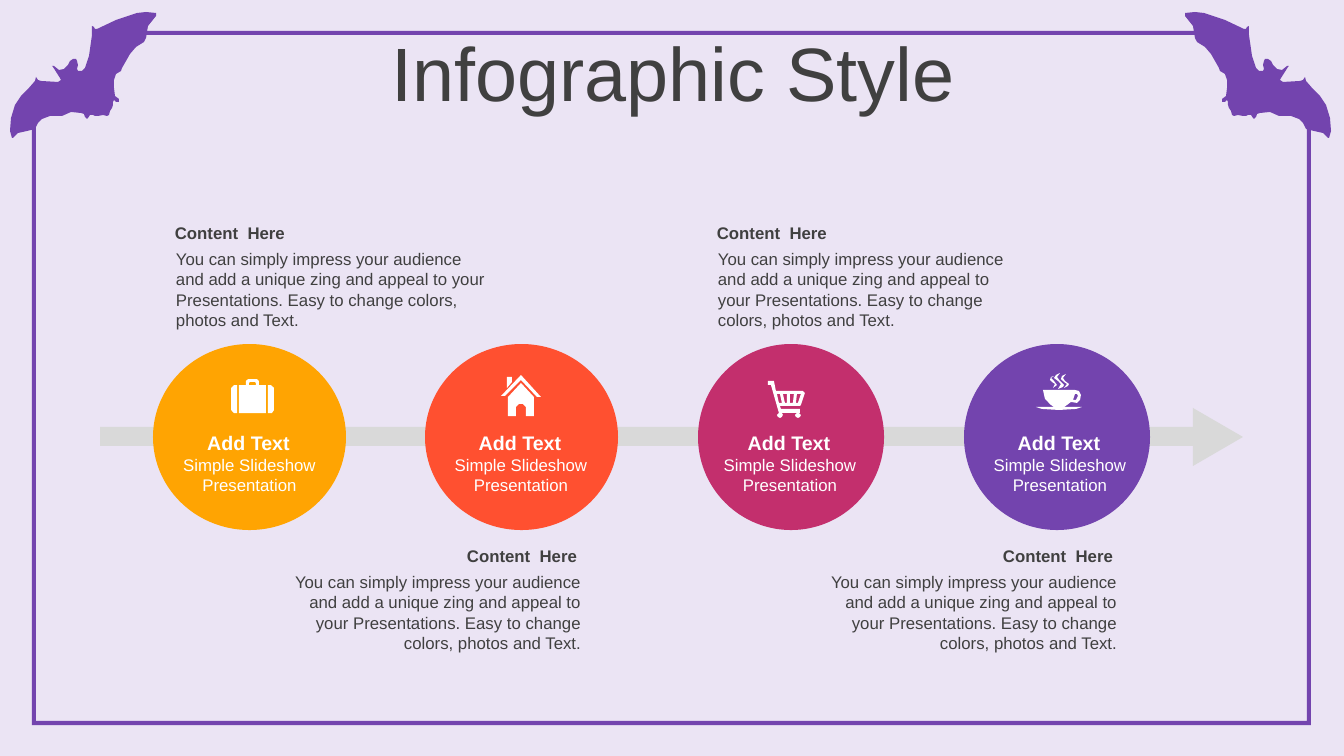
"""Build a timeline slide with four stations, their notes and a bat frame."""
from pptx import Presentation
from pptx.dml.color import RGBColor
from pptx.enum import shapes, text
from pptx.util import Pt

PX = 9071
FONT = "Arial"
LAVENDER = RGBColor(0xEB, 0xE4, 0xF4)
PURPLE = RGBColor(0x73, 0x44, 0xAE)
PINK = RGBColor(0xC3, 0x2F, 0x6D)
RED = RGBColor(0xFF, 0x50, 0x30)
ORANGE = RGBColor(0xFF, 0xA4, 0x02)
GREY = RGBColor(0xD9, 0xD9, 0xD9)
DARK = RGBColor(0x40, 0x40, 0x40)
WHITE = RGBColor(0xFF, 0xFF, 0xFF)

NOTE = ("You can simply impress your audience and add a unique zing and appeal to "
        "your Presentations. Easy to change colors, photos and Text.")

BAT = [
    (36, 77), (38, 80), (41, 81), (58, 82), (61, 80), (60, 78), (53, 67), (52, 66),
    (54, 66), (59, 70), (64, 69), (68, 65), (70, 61), (73, 59), (76, 59), (77, 61),
    (78, 65), (77, 69), (78, 71), (82, 71), (85, 68), (89, 56), (92, 35), (92, 26),
    (94, 27), (95, 29), (97, 29), (116, 20), (137, 13), (146, 12), (156, 13),
    (156, 16), (148, 26), (146, 38), (144, 42), (136, 47), (130, 54), (122, 68),
    (121, 71), (116, 74), (114, 80), (114, 88), (115, 96), (119, 99), (119, 102),
    (116, 102), (114, 100), (113, 102), (113, 105), (112, 108), (110, 111),
    (109, 115), (107, 116), (103, 115), (98, 116), (95, 116), (93, 115), (90, 115),
    (88, 118), (87, 119), (85, 117), (84, 114), (81, 113), (71, 112), (62, 116),
    (59, 116), (50, 116), (42, 119), (38, 123), (35, 129), (27, 131), (18, 133),
    (13, 138), (12, 138), (10, 131), (11, 118), (15, 105), (21, 96), (28, 89),
    (35, 81),
]
FRAME = [
    [(1307, 109), (1311, 109), (1311, 725), (32, 725), (32, 109), (36, 109),
     (36, 721), (1307, 721)],
    [(109, 31), (1235, 31), (1235, 35), (109, 35)],
]
SUITCASE = [
    [(37, 6), (40, 6), (43, 9), (43, 31), (41, 34), (37, 34)],
    [(3, 6), (6, 6), (6, 34), (3, 34), (0, 31), (0, 9)],
    [(17, 0), (26, 0), (28, 2), (28, 6), (35, 6), (35, 34), (8, 34), (8, 6),
     (15, 6), (15, 2)],
    [(19, 3), (18, 4), (18, 6), (25, 6), (25, 4), (24, 3)],
]
HOUSE = [
    [(20, 8), (33, 22), (33, 41), (25, 41), (25, 32), (22, 29), (18, 29), (15, 32),
     (15, 41), (7, 41), (7, 22)],
    [(6, 2), (11, 2), (11, 7), (6, 13)],
    [(20, 0), (40, 22), (36, 22), (20, 5), (4, 21), (0, 21)],
]
CART = [
    [(29, 13), (28, 22), (30, 22), (33, 13)],
    [(22, 13), (22, 22), (25, 22), (26, 13)],
    [(15, 13), (17, 22), (19, 22), (19, 13)],
    [(9, 13), (11, 22), (14, 22), (12, 13)],
    [(6, 0), (8, 10), (35, 10), (37, 12), (33, 24), (32, 25), (12, 25), (13, 28),
     (32, 28), (32, 32), (31, 32), (33, 34), (32, 36), (30, 37), (28, 36), (27, 34),
     (29, 32), (14, 32), (15, 34), (14, 36), (12, 37), (10, 36), (9, 34), (11, 32),
     (3, 4), (0, 4), (0, 0)],
]
CUP = [
    [(39, 21), (37, 27), (40, 27), (42, 23), (41, 21)],
    [(39, 17), (43, 18), (45, 22), (44, 27), (41, 30), (35, 29), (31, 32), (28, 34),
     (46, 34), (40, 36), (23, 37), (6, 36), (0, 34), (18, 34), (15, 32), (9, 26),
     (7, 17)],
    [(18, 3), (15, 5), (16, 6), (18, 8), (21, 12), (17, 15), (19, 11), (16, 9),
     (14, 7), (15, 4)],
    [(30, 1), (27, 5), (29, 8), (33, 11), (32, 13), (28, 15), (31, 11), (28, 9),
     (25, 6), (26, 3)],
    [(24, 0), (21, 4), (24, 8), (28, 12), (27, 14), (22, 16), (25, 11), (22, 8),
     (18, 5), (20, 2)],
]

STATIONS = [
    (153, 193, 151, 195, ORANGE, SUITCASE, 231, 379),
    (425, 193, 425, 190, RED, HOUSE, 501, 375),
    (698, 186, 694, 190, PINK, CART, 768, 381),
    (964, 186, 964, 190, PURPLE, CUP, 1036, 373),
]
NOTES = [
    (166, 218, 332, text.PP_ALIGN.LEFT),
    (708, 218, 322, text.PP_ALIGN.LEFT),
    (269, 541, 322, text.PP_ALIGN.RIGHT),
    (805, 541, 322, text.PP_ALIGN.RIGHT),
]


def emu(*lengths):
    """Turn px lengths into EMU."""
    return [length * PX for length in lengths]


def paint(shape, color):
    """Fill a shape flat, without line or shadow."""
    shape.fill.solid()
    shape.fill.fore_color.rgb = color
    shape.line.fill.background()
    shape.shadow.inherit = False


def add_preset(page, kind, left, top, width, height, color):
    """Add a flat preset shape."""
    shape = page.shapes.add_shape(kind, *emu(left, top, width, height))
    paint(shape, color)
    return shape


def add_outline(page, contours, color, left=0, top=0):
    """Add a freeform made of closed contours."""
    builder = page.shapes.build_freeform(*contours[0][0], scale=PX)
    for index, contour in enumerate(contours):
        if index:
            builder.move_to(*contour[0])
        builder.add_line_segments(contour[1:], close=True)
    paint(builder.convert_to_shape(*emu(left, top)), color)


def format_paragraph(para, size, color, align, bold=False):
    """Set the font and alignment of a paragraph."""
    para.alignment = align
    para.font.name = FONT
    para.font.size = Pt(size)
    para.font.bold = bold
    para.font.color.rgb = color


def add_text(page, words, left, top, width, height, size, color, align, bold=False):
    """Add a wrapped text box with one paragraph."""
    box = page.shapes.add_textbox(*emu(left, top, width, height))
    box.text_frame.word_wrap = True
    para = box.text_frame.paragraphs[0]
    para.text = words
    format_paragraph(para, size, color, align, bold)


def add_title(page, words):
    """Move and format the title placeholder."""
    title = page.shapes.title
    title.left, title.top, title.width, title.height = emu(35, 37, 1276, 80)
    frame = title.text_frame
    frame.text = words
    frame.vertical_anchor = text.MSO_ANCHOR.MIDDLE
    frame.auto_size = text.MSO_AUTO_SIZE.NONE
    para = frame.paragraphs[0]
    para.line_spacing = 0.9
    format_paragraph(para, 54, DARK, text.PP_ALIGN.CENTER)


def add_station(page, left, width, label_left, label_width, color, icon, icon_left, icon_top):
    """Add a circle with its icon, label and caption."""
    center = text.PP_ALIGN.CENTER
    add_preset(page, shapes.MSO_SHAPE.OVAL, left, 344, width, 186, color)
    add_outline(page, icon, WHITE, icon_left, icon_top)
    add_text(page, "Add Text", label_left, 426, label_width, 34, 14, WHITE, center, True)
    add_text(page, "Simple Slideshow Presentation", label_left + 1, 450, label_width, 50,
             12, WHITE, center)


def add_note(page, left, top, width, align):
    """Add a bold heading above its note."""
    add_text(page, "Content  Here", left - 1, top, width - 3, 30, 12, DARK, align, True)
    add_text(page, NOTE, left, top + 26, width, 92, 12, DARK, align)


def main():
    """Build and save the slide."""
    deck = Presentation()
    deck.slide_width, deck.slide_height = emu(1344, 756)
    page = deck.slides.add_slide(deck.slide_layouts[5])
    page.background.fill.solid()
    page.background.fill.fore_color.rgb = LAVENDER
    add_outline(page, [BAT], PURPLE)
    add_outline(page, [[(1341 - x, y) for x, y in BAT]], PURPLE)
    add_outline(page, FRAME, PURPLE)
    add_title(page, "Infographic Style")
    add_preset(page, shapes.MSO_SHAPE.RECTANGLE, 100, 427, 1100, 19, GREY)
    tip = add_preset(page, shapes.MSO_SHAPE.ISOSCELES_TRIANGLE, 1189, 412, 58, 50, GREY)
    tip.rotation = 90
    for station in STATIONS:
        add_station(page, *station)
    for note in NOTES:
        add_note(page, *note)
    deck.save("out.pptx")


if __name__ == "__main__":
    main()
